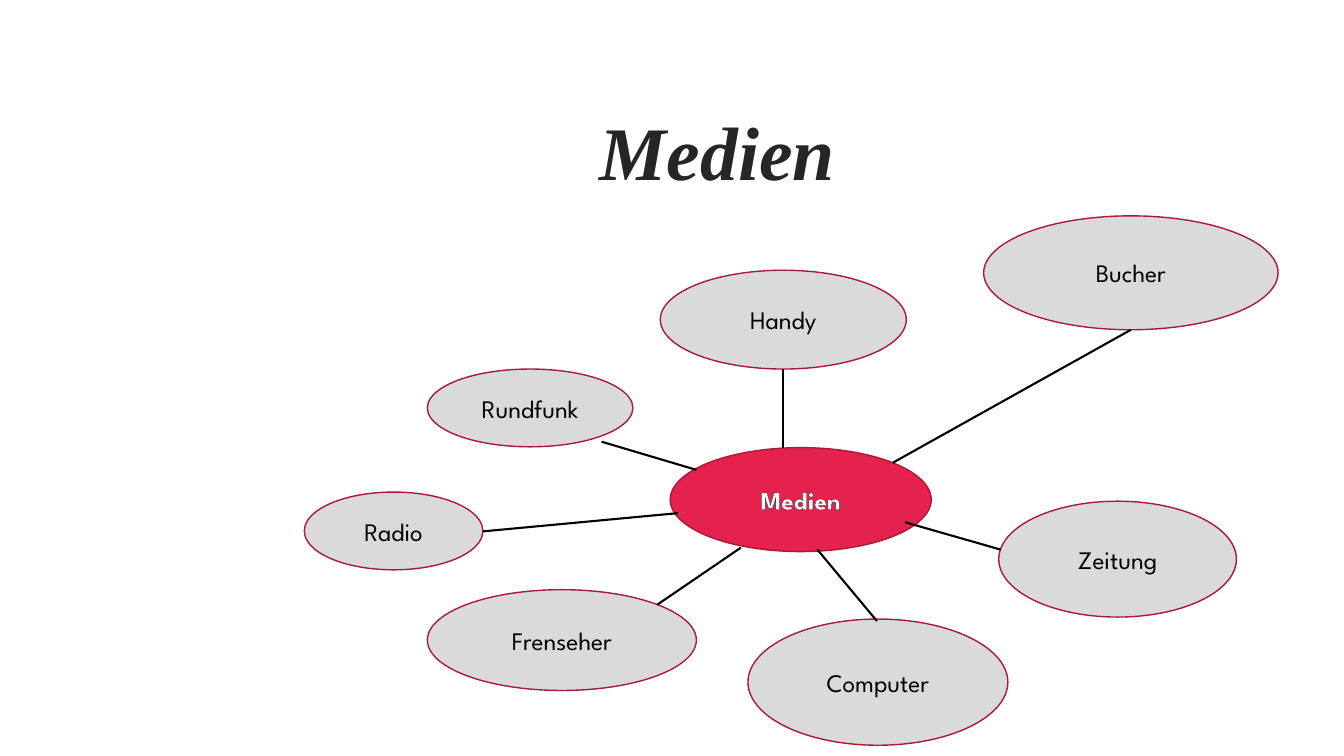
from lxml.etree import SubElement
from pptx import Presentation
from pptx.dml.color import RGBColor
from pptx.enum.shapes import MSO_CONNECTOR as Connector, MSO_SHAPE as Shape
from pptx.enum.text import MSO_ANCHOR as Anchor, MSO_AUTO_SIZE as AutoSize, PP_ALIGN as Align
from pptx.oxml import parse_xml
from pptx.oxml.ns import nsdecls, qn
from pptx.util import Cm, Pt

BODY_FONT, TITLE_FONT = "League Spartan", "Times New Roman"
HUB_FILL, TOPIC_FILL, BORDER = "E5224E", "DADADA", "A9193A"
BLACK, WHITE = "000000", "FFFFFF"

# Lengths in cm, measured from the top left corner of the mind map
HUB = (9.22, 5.84, 6.58, 2.62)
# Topic: ellipse (left, top, width, height), link start at the topic, link end at the hub
TOPICS = {
    "Frenseher": ((3.1, 9.42, 6.78, 2.54), (8.89, 9.8), (11, 8.36)),
    "Rundfunk": ((3.1, 3.86, 5.18, 1.96), (7.49, 5.69), (9.88, 6.4)),
    "Handy": ((8.97, 1.37, 6.2, 2.49), (12.07, 3.86), (12.07, 5.84)),
    "Zeitung": ((17.5, 7.19, 5.99, 2.92), (17.55, 8.41), (15.14, 7.72)),
    "Radio": ((0, 6.96, 4.5, 1.96), (4.5, 7.95), (9.42, 7.49)),
    "Bucher": ((17.12, 0, 7.42, 2.87), (20.83, 2.87), (14.83, 6.22)),
    "Computer": ((11.18, 10.16, 6.55, 3.18), (14.43, 10.21), (12.93, 8.41)),
}


def color(value):
    return RGBColor.from_string(value)


def write(shape, text, font_name, size, text_color, bold=False, italic=False):
    """Put one centred line of text in the shape and return its paragraph."""
    shape.text_frame.vertical_anchor = Anchor.MIDDLE
    paragraph = shape.text_frame.paragraphs[0]
    paragraph.text = text
    paragraph.alignment = Align.CENTER
    font = paragraph.font
    font.name, font.size = font_name, Pt(size)
    font.bold, font.italic = bold, italic
    font.color.rgb = color(text_color)
    return paragraph


def outline_text(paragraph, line_color, width):
    for run in paragraph.runs:
        outline = parse_xml(
            f'<a:ln {nsdecls("a")} w="{Pt(width)}"><a:solidFill>'
            f'<a:srgbClr val="{line_color}"/></a:solidFill></a:ln>')
        run._r.get_or_add_rPr().insert(0, outline)


def add_title(slide, left, top, width, height):
    title = slide.shapes.add_textbox(Cm(left), Cm(top), Cm(width), Cm(height))
    paragraph = write(title, "Medien", TITLE_FONT, 54, "262626", bold=True, italic=True)
    outline_text(paragraph, WHITE, 1.06)
    title.text_frame.word_wrap = False
    title.text_frame.auto_size = AutoSize.SHAPE_TO_FIT_TEXT


def add_bubble(slide, left, top, width, height, text, fill, text_color, bold=False):
    bubble = slide.shapes.add_shape(Shape.OVAL, Cm(left), Cm(top), Cm(width), Cm(height))
    bubble.shadow.inherit = False
    bubble.fill.solid()
    bubble.fill.fore_color.rgb = color(fill)
    bubble.line.color.rgb = color(BORDER)
    bubble.line.width = Pt(1)
    return write(bubble, text, BODY_FONT, 18, text_color, bold)


def add_link(slide, start_x, start_y, end_x, end_y):
    link = slide.shapes.add_connector(
        Connector.STRAIGHT, Cm(start_x), Cm(start_y), Cm(end_x), Cm(end_y))
    link.line.color.rgb = color(BLACK)
    link.line.width = Pt(1.5)
    SubElement(link._element.spPr, qn("a:effectLst"))


def add_mind_map(slide, left, top):
    """Draw the hub, its topics and then the links on top of them."""
    x, y, width, height = HUB
    hub_text = add_bubble(slide, left + x, top + y, width, height,
                          "Medien", HUB_FILL, WHITE, bold=True)
    outline_text(hub_text, "343434", 1)
    for topic, ((x, y, width, height), _, _) in TOPICS.items():
        add_bubble(slide, left + x, top + y, width, height, topic, TOPIC_FILL, BLACK)
    for _, (start_x, start_y), (end_x, end_y) in TOPICS.values():
        add_link(slide, left + start_x, top + start_y, left + end_x, top + end_y)


def main():
    presentation = Presentation()
    presentation.slide_width, presentation.slide_height = Cm(33.87), Cm(19.05)
    slide = presentation.slides.add_slide(presentation.slide_layouts[6])
    add_mind_map(slide, 7.67, 5.44)
    add_title(slide, 10.72, 2.49, 14.71, 2.57)
    presentation.save("out.pptx")


if __name__ == "__main__":
    main()
